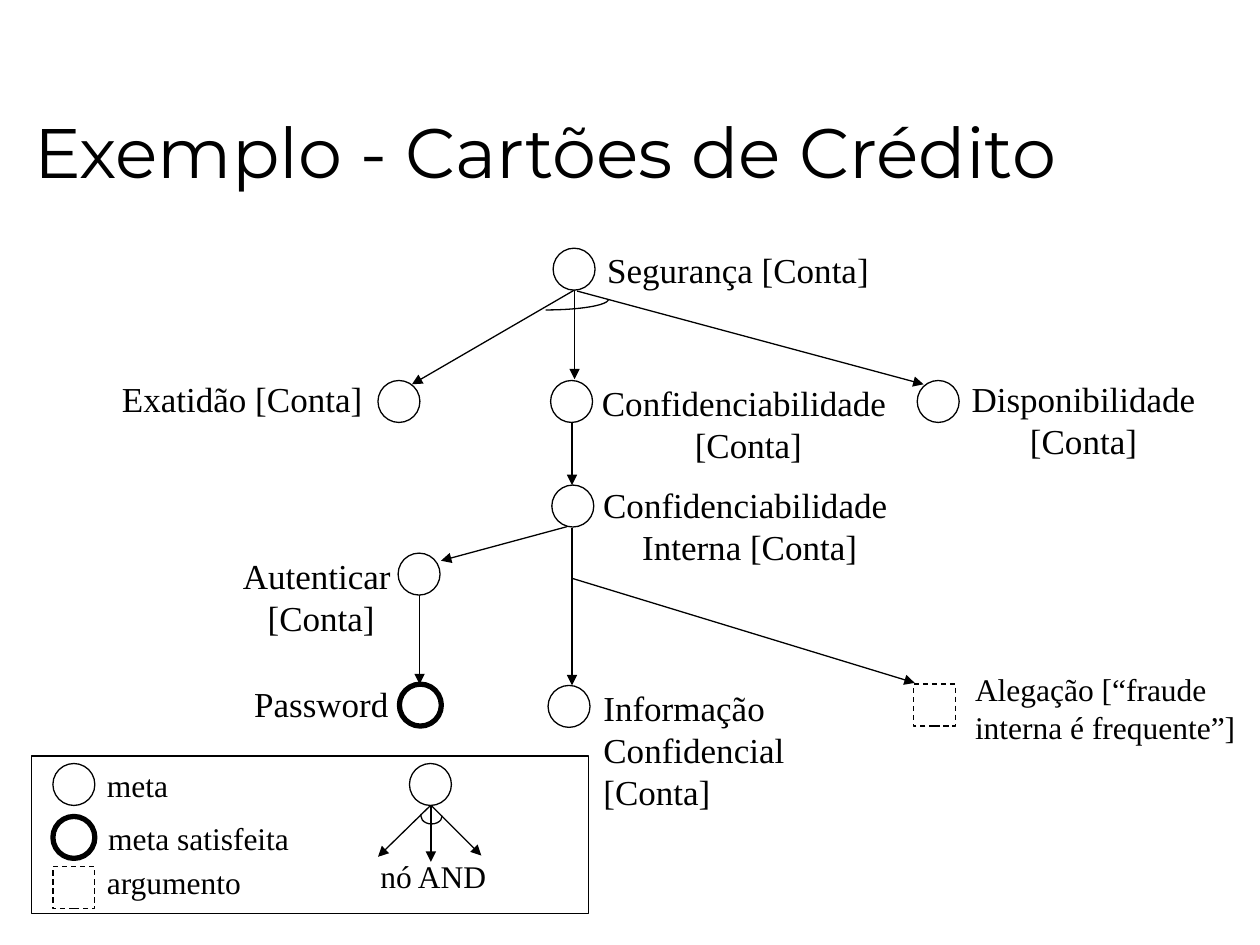
from dataclasses import dataclass
from lxml.etree import SubElement
from pptx import Presentation
from pptx.dml.color import RGBColor
from pptx.enum.dml import MSO_LINE
from pptx.enum.shapes import MSO_CONNECTOR, MSO_SHAPE
from pptx.enum.text import MSO_ANCHOR, MSO_AUTO_SIZE, PP_ALIGN
from pptx.oxml.ns import qn
from pptx.util import Inches, Pt


@dataclass(frozen=True)
class Theme:
    ink: RGBColor = RGBColor(0, 0, 0)
    paper: RGBColor = RGBColor(255, 255, 255)
    title_font: str = "Montserrat"
    label_font: str = "Times New Roman"
    title_size: int = 40
    label_size: int = 20
    small_size: int = 18
    thin: float = 0.74
    thick: float = 3


theme = Theme()
deck = Presentation()
deck.slide_width, deck.slide_height = Inches(10), Inches(7.5)

# Grid of 100 columns by 75 rows
cell = deck.slide_width // 100
node_side = 3.33
slide = deck.slides.add_slide(deck.slide_layouts[5])
shapes = slide.shapes


def grid(*lengths):
    return [round(length * cell) for length in lengths]


def write(paragraph, words, font, size):
    run = paragraph.add_run()
    run.text = words
    run.font.name, run.font.size = font, Pt(size)
    run.font.color.rgb = theme.ink


# Title
title = shapes.title
title.left, title.top, title.width, title.height = grid(1.7, 5, 97.5, 10.8)
title.text_frame.auto_size = MSO_AUTO_SIZE.NONE
title.text_frame.vertical_anchor = MSO_ANCHOR.BOTTOM
heading = title.text_frame.paragraphs[0]
heading.alignment = PP_ALIGN.LEFT
write(heading, "Exemplo - Cartões de Crédito", theme.title_font, theme.title_size)

# Arrows: from column, row to column, row
arrows = [
    (45.6, 22.8, 45.6, 30.1),  # security to its three parts
    (45.8, 22.9, 32.7, 30.5),
    (45.8, 23.1, 73.3, 30.5),
    (45.4, 33.5, 45.4, 38.5),  # confidentiality to internal
    (45, 41.8, 35, 44.5),  # internal to its means
    (45.4, 41.9, 45.4, 54.4),
    (45.4, 45.9, 72.6, 54.2),
    (33.3, 47, 33.3, 54.3),  # authenticate to password
    (34.1, 63.8, 38.2, 67.9),  # legend
    (34.2, 63.4, 34.2, 68.4),
    (34.2, 63.9, 30, 68),
]
for ends in arrows:
    arrow = shapes.add_connector(MSO_CONNECTOR.STRAIGHT, *grid(*ends))
    arrow.line.color.rgb = theme.ink
    arrow.line.width = Pt(theme.thin)
    properties = arrow.element.spPr
    SubElement(properties.find(qn("a:ln")), qn("a:tailEnd"), type="triangle")
    SubElement(properties, qn("a:effectLst"))

# AND arcs: place and size of the ellipse, degrees swept from its right end
arcs = [(38.3, 22.9, 10, 1.7, 90), (33.4, 64.1, 1.7, 1.3, 190)]
for *place, sweep in arcs:
    arc = shapes.add_shape(MSO_SHAPE.ARC, *grid(*place))
    arc.adjustments[0], arc.adjustments[1] = 0, sweep * 0.6
    arc.fill.background()
    arc.line.color.rgb = theme.ink
    arc.line.width = Pt(theme.thin)
    arc.shadow.inherit = False

# Legend frame
frame = shapes.add_shape(MSO_SHAPE.RECTANGLE, *grid(2.5, 60, 44.2, 12.5))
frame.fill.background()
frame.line.color.rgb = theme.ink
frame.line.width = Pt(theme.thin)
frame.shadow.inherit = False

# Nodes: form, line width, dash, places
node_kinds = [
    (MSO_SHAPE.OVAL, theme.thin, None, [
        (43.9, 19.7), (30, 30.2), (43.7, 30.2), (72.8, 30.2), (43.8, 38.5),
        (31.6, 43.9), (43.5, 54.4), (4.2, 60.6), (32.5, 60.6)]),
    (MSO_SHAPE.OVAL, theme.thick, None, [(31.7, 54.3), (4.2, 64.8)]),
    (MSO_SHAPE.RECTANGLE, theme.thin, MSO_LINE.DASH, [(72.5, 54.3), (4.2, 68.8)]),
]
for form, weight, dash, places in node_kinds:
    for column, row in places:
        node = shapes.add_shape(form, *grid(column, row, node_side, node_side))
        node.fill.solid()
        node.fill.fore_color.rgb = theme.paper
        node.line.color.rgb = theme.ink
        node.line.width = Pt(weight)
        if dash:
            node.line.dash_style = dash
        node.shadow.inherit = False

# Labels: place and size, type size, alignment, wrap, paragraphs
left, center = PP_ALIGN.LEFT, PP_ALIGN.CENTER
big, small = theme.label_size, theme.small_size
labels = [
    (47.2, 19.2, 23.4, 4.4, big, left, False, ["Segurança [Conta]"]),
    (8.7, 29.5, 21.7, 4.4, big, left, False, ["Exatidão [Conta]"]),
    (46.5, 29.8, 25.1, 7.7, big, center, False, ["Confidenciabilidade", " [Conta]"]),
    (75.8, 29.5, 20.4, 7.7, big, center, False, ["Disponibilidade", "[Conta]"]),
    (46.6, 37.9, 25.8, 7.7, big, center, False,
     ["Confidenciabilidade ", "Interna [Conta]"]),
    (18, 43.5, 14.3, 7.7, big, center, False, ["Autenticar", " [Conta]"]),
    (18.9, 53.7, 13.2, 4.4, big, center, False, ["Password"]),
    (46.9, 54, 25.5, 11, big, left, True, ["Informação", "Confidencial [Conta]"]),
    (76.4, 52.7, 23.6, 7, small, left, True,
     ["Alegação [“fraude interna é frequente”]"]),
    (7.5, 60.3, 7.4, 4, small, left, False, ["meta"]),
    (7.6, 64.5, 16.9, 4, small, left, False, ["meta satisfeita"]),
    (7.5, 68, 13.3, 4, small, left, False, ["argumento"]),
    (29.2, 67.5, 11.1, 4, small, left, False, ["nó AND"]),
]
for *place, size, alignment, wrap, lines in labels:
    label = shapes.add_textbox(*grid(*place)).text_frame
    label.word_wrap = wrap
    label.auto_size = MSO_AUTO_SIZE.SHAPE_TO_FIT_TEXT
    for number, words in enumerate(lines):
        paragraph = label.add_paragraph() if number else label.paragraphs[0]
        paragraph.alignment = alignment
        write(paragraph, words, theme.label_font, size)

deck.save("out.pptx")
